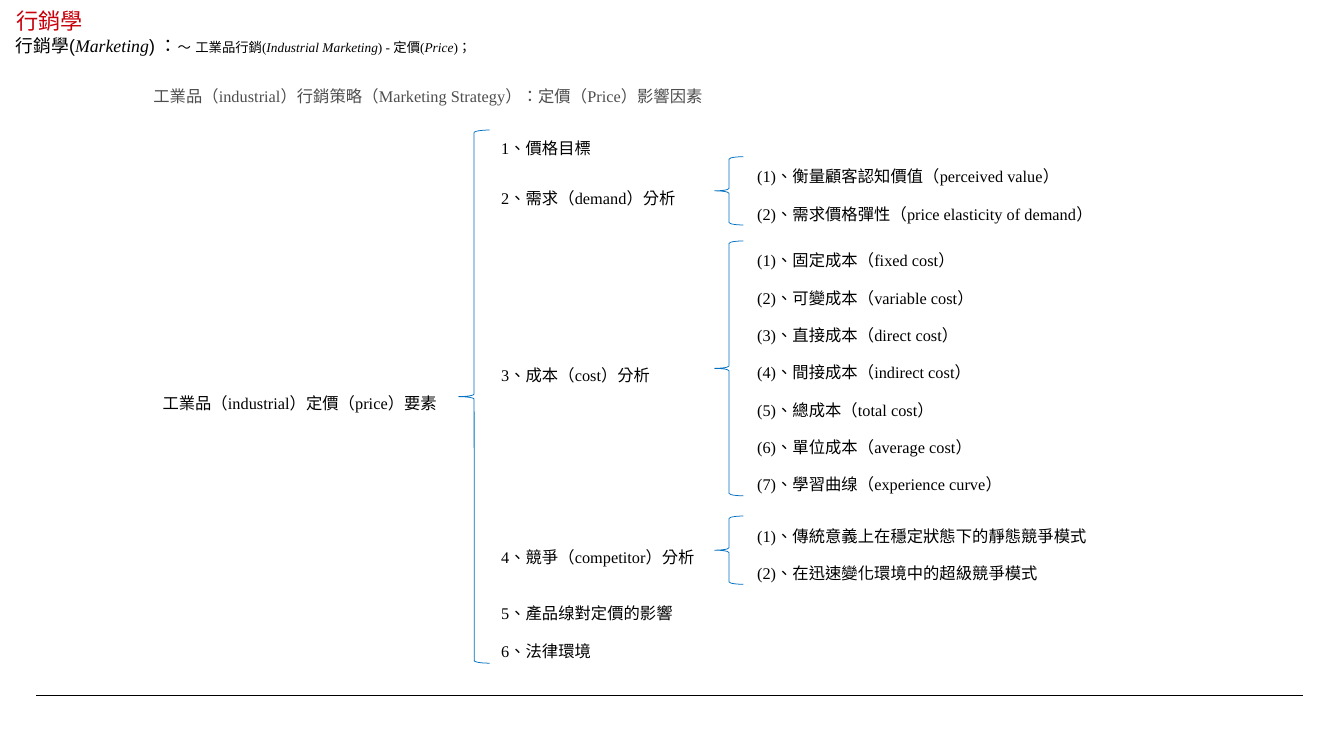
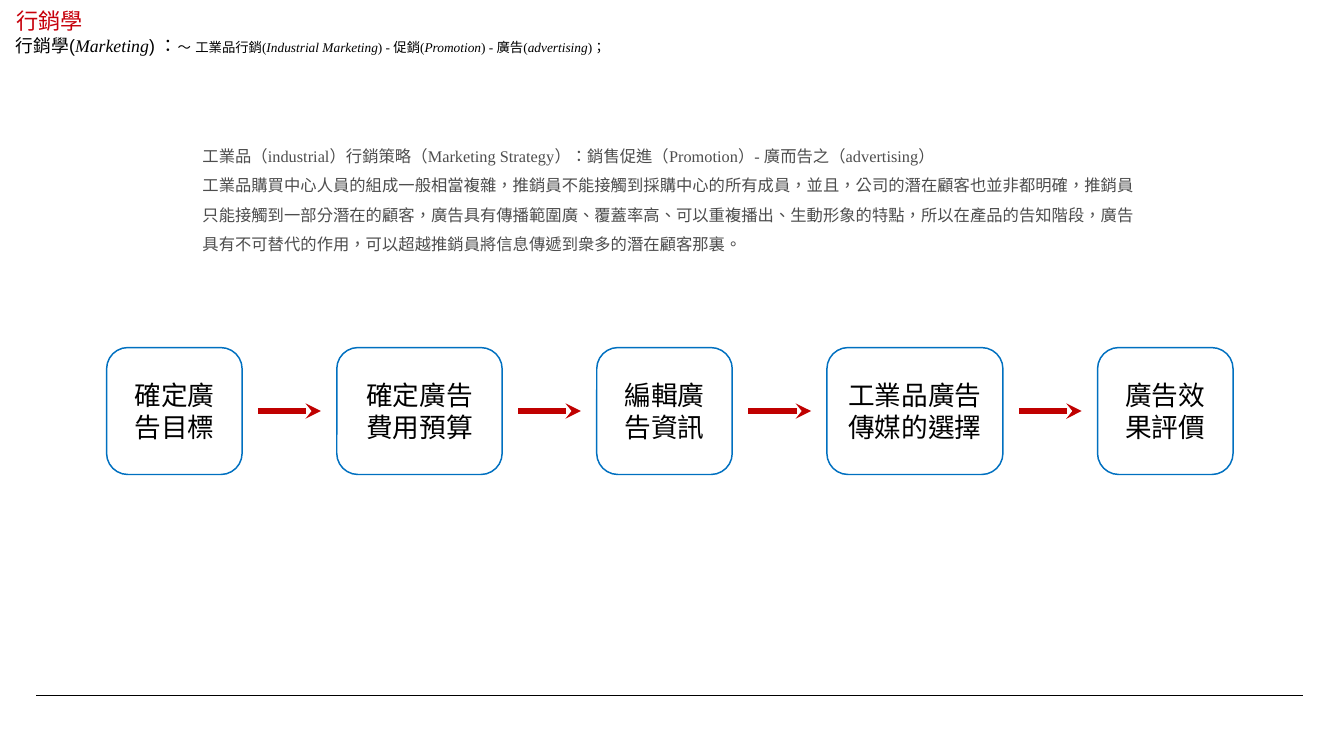
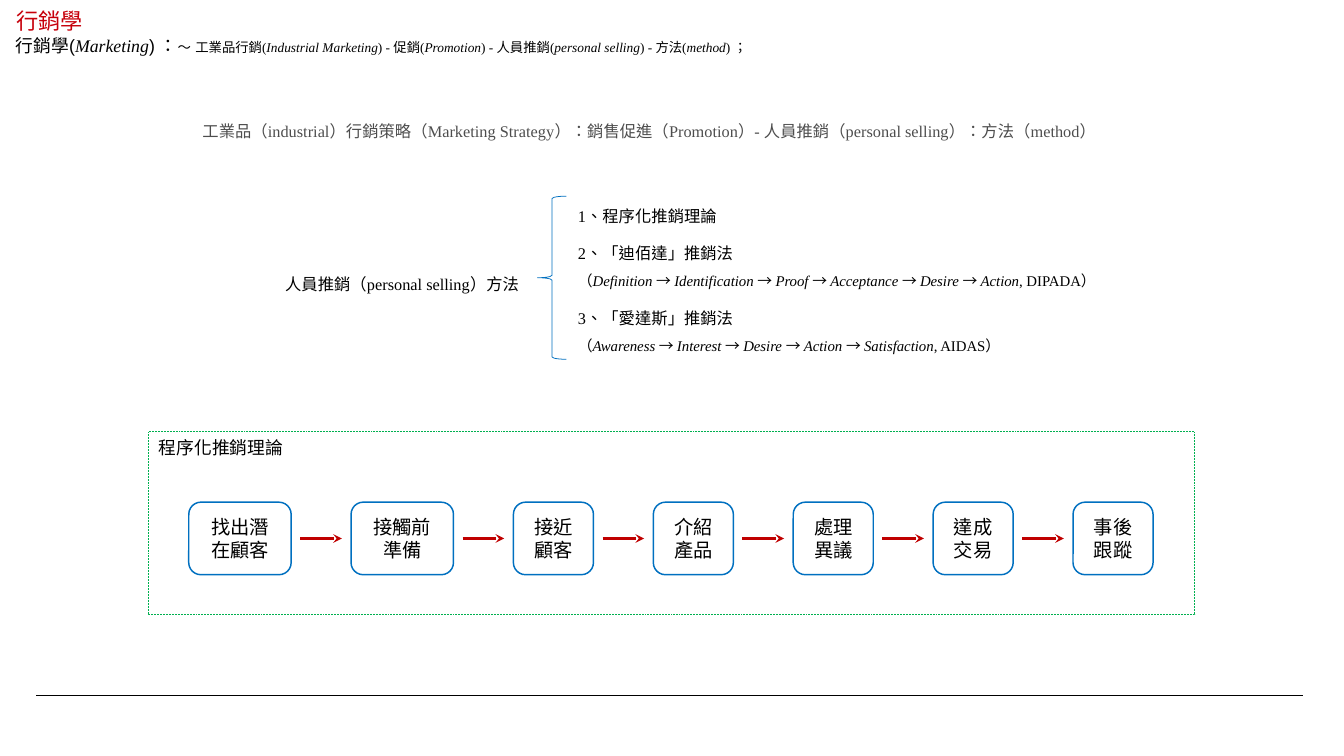
from dataclasses import dataclass
from typing import NamedTuple, Optional

import pptx
import pptx.dml.color
import pptx.enum.dml
import pptx.enum.lang
import pptx.enum.shapes
import pptx.enum.text
import pptx.oxml
import pptx.oxml.ns
import pptx.presentation
import pptx.shapes.autoshape
import pptx.shapes.connector
import pptx.slide
import pptx.text.text
import pptx.util

ALIGN = pptx.enum.text.PP_ALIGN
ANCHOR = pptx.enum.text.MSO_ANCHOR
FIT = pptx.enum.text.MSO_AUTO_SIZE
SHAPE = pptx.enum.shapes.MSO_SHAPE


@dataclass(frozen=True)
class Theme:
    red: str = "C7000B"
    black: str = "000000"
    gray: str = "4D4D4D"
    blue: str = "0070C0"
    arrow: str = "C00000"
    green: str = "00B050"
    sans: str = "Arial"
    serif: str = "Times New Roman"
    cjk: str = "Noto Sans CJK SC"
    title: float = 15
    heading: float = 12
    body: float = 11
    formula: float = 10
    trail: float = 9
    hairline: float = 0.5
    outline: float = 1
    leading: float = 1.5


THEME = Theme()

# The slide is a grid of 126 columns by 70.9 rows, each a tenth of an inch.
COLUMNS, ROWS = 126, 70.9
LABEL_ROWS = 3.4
LIST_STEP = 3.5
BRACE_COLUMNS = 2.7


class Area(NamedTuple):
    column: float
    row: float
    columns: float
    rows: float

    @property
    def middle(self) -> float:
        return self.row + self.rows / 2

    @property
    def right(self) -> float:
        return self.column + self.columns


class Phrase(NamedTuple):
    text: str
    size: float = THEME.body
    font: str = THEME.serif
    color: str = THEME.black
    italic: bool = False


class Term(NamedTuple):
    chinese: str
    english: str


class Factor(NamedTuple):
    label: str
    row: float
    details: tuple[str, ...] = ()


class Step(NamedTuple):
    label: str
    columns: float


@dataclass(frozen=True)
class Process:
    """Steps spread with equal gaps over an area, joined by arrows."""
    area: Area
    steps: tuple[Step, ...]
    size: float
    arrow_columns: float
    arrow_weight: float


class Method(NamedTuple):
    label: str
    row: float
    stages: tuple[str, ...] = ()
    acronym: str = ""


def grid(cells: float) -> pptx.util.Length:
    return pptx.util.Inches(round(cells / 10, 4))


def rgb(color: str) -> pptx.dml.color.RGBColor:
    return pptx.dml.color.RGBColor.from_string(color)


def write(paragraph: pptx.text.text._Paragraph, phrases: list[Phrase]) -> None:
    for phrase in phrases:
        run = paragraph.add_run()
        run.text = phrase.text
        run.font.name = phrase.font
        run.font.size = pptx.util.Pt(phrase.size)
        run.font.italic = phrase.italic
        run.font.color.rgb = rgb(phrase.color)
        run.font.language_id = pptx.enum.lang.MSO_LANGUAGE_ID.TRADITIONAL_CHINESE


def add_text(slide: pptx.slide.Slide, area: Area, paragraphs: list[list[Phrase]],
             leading: Optional[float] = THEME.leading, align: ALIGN = ALIGN.LEFT) -> None:
    frame = slide.shapes.add_textbox(*map(grid, area)).text_frame
    frame.word_wrap = True
    frame.auto_size = FIT.SHAPE_TO_FIT_TEXT
    for index, phrases in enumerate(paragraphs):
        paragraph = frame.add_paragraph() if index else frame.paragraphs[0]
        paragraph.alignment = align
        if leading:
            paragraph.line_spacing = leading
        write(paragraph, phrases)


def add_label(slide: pptx.slide.Slide, column: float, row: float, columns: float,
              text: str, align: ALIGN = ALIGN.LEFT) -> None:
    add_text(slide, Area(column, row, columns, LABEL_ROWS), [[Phrase(text)]], align=align)


def add_outline(slide: pptx.slide.Slide, kind: SHAPE, area: Area, color: str,
                weight: float) -> pptx.shapes.autoshape.Shape:
    outline = slide.shapes.add_shape(kind, *map(grid, area))
    outline.shadow.inherit = False
    outline.fill.background()
    outline.line.color.rgb = rgb(color)
    outline.line.width = pptx.util.Pt(weight)
    return outline


def add_brace(slide: pptx.slide.Slide, area: Area) -> None:
    add_outline(slide, SHAPE.LEFT_BRACE, area, THEME.blue, THEME.hairline)


def add_line(slide: pptx.slide.Slide, start: float, end: float, row: float,
             color: str, weight: float) -> pptx.shapes.connector.Connector:
    line = slide.shapes.add_connector(pptx.enum.shapes.MSO_CONNECTOR.STRAIGHT,
                                      grid(start), grid(row), grid(end), grid(row))
    line.line.color.rgb = rgb(color)
    line.line.width = pptx.util.Pt(weight)
    line.element.spPr.append(pptx.oxml.parse_xml(
        f'<a:effectLst {pptx.oxml.ns.nsdecls("a")}/>'))
    return line


def add_arrow(slide: pptx.slide.Slide, start: float, end: float, row: float,
              weight: float) -> None:
    arrow = add_line(slide, start, end, row, THEME.arrow, weight)
    arrow.line._get_or_add_ln().append(pptx.oxml.parse_xml(
        f'<a:tailEnd {pptx.oxml.ns.nsdecls("a")} type="stealth"/>'))


def add_footer_rule(deck: pptx.presentation.Presentation, slide: pptx.slide.Slide) -> None:
    """Move a rule drawn on the slide to its layout, so that every slide shows it."""
    rule = add_line(slide, 3.4, 122.2, 65.2, THEME.black, THEME.hairline)
    slide.slide_layout.shapes.element.append(rule.element)


def add_slide(deck: pptx.presentation.Presentation, trail: tuple[Term, ...],
              ending: str = ")；") -> pptx.slide.Slide:
    """Add a slide with the course title and the trail of topics below it."""
    slide = deck.slides.add_slide(deck.slide_layouts[5])
    title = slide.shapes.title
    title.left, title.top, title.width, title.height = map(grid, Area(0.5, 0.7, 93.2, 2.4))
    frame = title.text_frame
    frame.auto_size = FIT.NONE
    frame.word_wrap = True
    frame.vertical_anchor = ANCHOR.MIDDLE
    frame.paragraphs[0].alignment = ALIGN.LEFT
    write(frame.paragraphs[0], [Phrase("行銷學", THEME.title, THEME.sans, THEME.red)])

    phrases = [
        Phrase("行銷學(", THEME.heading, THEME.sans),
        Phrase("Marketing", THEME.heading, italic=True),
        Phrase(") ：", THEME.heading, THEME.sans),
        Phrase("～", THEME.trail, THEME.sans),
        Phrase(" ", 13, THEME.sans),
    ]
    joint = ""
    for term in (Term("工業品行銷", "Industrial Marketing"), *trail):
        phrases += [Phrase(f"{joint}{term.chinese}(", THEME.trail),
                    Phrase(term.english, THEME.trail, italic=True)]
        joint = ") - "
    phrases.append(Phrase(ending, THEME.trail))
    add_text(slide, Area(0.5, 2.6, 104.3, 3.2), [phrases], leading=None)
    return slide


def add_intro(slide: pptx.slide.Slide, area: Area, *texts: str) -> None:
    add_text(slide, area, [[Phrase(text, color=THEME.gray)] for text in texts])


def add_root(slide: pptx.slide.Slide, column: float, columns: float, text: str,
             brace: Area) -> None:
    """Draw a brace with its topic centred on its point."""
    add_label(slide, column, brace.middle - LABEL_ROWS / 2, columns, text, ALIGN.CENTER)
    add_brace(slide, brace)


def add_factor(slide: pptx.slide.Slide, factor: Factor) -> None:
    label_row = factor.row
    if factor.details:
        brace = Area(67, factor.row + 0.5, BRACE_COLUMNS,
                     LIST_STEP * len(factor.details) - 0.6)
        add_brace(slide, brace)
        label_row = brace.middle - LABEL_ROWS / 2
    add_label(slide, 46, label_row, 20.8, factor.label)
    for index, detail in enumerate(factor.details):
        add_label(slide, 70, factor.row + index * LIST_STEP, 34.7,
                  f"({index + 1})、{detail}")


def add_method(slide: pptx.slide.Slide, method: Method) -> None:
    paragraphs = [[Phrase(method.label)]]
    if method.stages:
        formula = [Phrase("（", THEME.formula)]
        for stage in method.stages[:-1]:
            formula += [Phrase(f"{stage} ", THEME.formula, italic=True),
                        Phrase("→ ", THEME.formula, THEME.cjk)]
        formula += [Phrase(method.stages[-1], THEME.formula, italic=True),
                    Phrase(f", {method.acronym}）", THEME.formula)]
        paragraphs.append(formula)
    rows = 6.1 if method.stages else LABEL_ROWS
    add_text(slide, Area(53.2, method.row, 51.6, rows), paragraphs)


def add_process(slide: pptx.slide.Slide, process: Process) -> None:
    area = process.area
    gap = ((area.columns - sum(step.columns for step in process.steps))
           / (len(process.steps) - 1))
    column = area.column
    for index, step in enumerate(process.steps):
        if index:
            start = column - (gap + process.arrow_columns) / 2
            add_arrow(slide, start, start + process.arrow_columns, area.middle,
                      process.arrow_weight)
        box = add_outline(slide, SHAPE.ROUNDED_RECTANGLE,
                          Area(column, area.row, step.columns, area.rows),
                          THEME.blue, THEME.outline)
        box.text_frame.vertical_anchor = ANCHOR.MIDDLE
        box.text_frame.paragraphs[0].alignment = ALIGN.CENTER
        write(box.text_frame.paragraphs[0], [Phrase(step.label, process.size, THEME.cjk)])
        column += step.columns + gap


def add_frame(slide: pptx.slide.Slide, area: Area, caption: str) -> None:
    frame = add_outline(slide, SHAPE.RECTANGLE, area, THEME.green, THEME.hairline)
    frame.line.dash_style = pptx.enum.dml.MSO_LINE.ROUND_DOT
    frame.text_frame.vertical_anchor = ANCHOR.TOP
    frame.text_frame.paragraphs[0].alignment = ALIGN.LEFT
    write(frame.text_frame.paragraphs[0], [Phrase(caption, THEME.heading, THEME.cjk)])


PROMOTION = Term("促銷", "Promotion")

PRICE_FACTORS = (
    Factor("1、價格目標", 11.6),
    Factor("2、需求（demand）分析", 14.2, (
        "衡量顧客認知價值（perceived value）",
        "需求價格彈性（price elasticity of demand）")),
    Factor("3、成本（cost）分析", 22.1, (
        "固定成本（fixed cost）",
        "可變成本（variable cost）",
        "直接成本（direct cost）",
        "間接成本（indirect cost）",
        "總成本（total cost）",
        "單位成本（average cost）",
        "學習曲缐（experience curve）")),
    Factor("4、競爭（competitor）分析", 47.9, (
        "傳統意義上在穩定狀態下的靜態競爭模式",
        "在迅速變化環境中的超級競爭模式")),
    Factor("5、產品缐對定價的影響", 55.2),
    Factor("6、法律環境", 58.7),
)

ADVERTISING = Process(
    Area(10, 32.6, 105.6, 11.9),
    (Step("確定廣告目標", 12.7), Step("確定廣告費用預算", 15.5), Step("編輯廣告資訊", 12.7),
     Step("工業品廣告傳媒的選擇", 16.5), Step("廣告效果評價", 12.7)),
    size=18, arrow_columns=5.9, arrow_weight=3.5)

SELLING_METHODS = (
    Method("1、程序化推銷理論", 17.9),
    Method("2、「迪佰達」推銷法", 21.4,
           ("Definition", "Identification", "Proof", "Acceptance", "Desire", "Action"),
           "DIPADA"),
    Method("3、「愛達斯」推銷法", 27.5,
           ("Awareness", "Interest", "Desire", "Action", "Satisfaction"), "AIDAS"),
)

SELLING = Process(
    Area(17.7, 47.1, 90.4, 6.8),
    (Step("找出潛在顧客", 9.6), Step("接觸前準備", 9.6), Step("接近顧客", 7.5),
     Step("介紹產品", 7.5), Step("處理異議", 7.5), Step("達成交易", 7.5),
     Step("事後跟蹤", 7.5)),
    size=13, arrow_columns=3.9, arrow_weight=1.5)


def build_pricing(deck: pptx.presentation.Presentation) -> None:
    slide = add_slide(deck, (Term("定價", "Price"),))
    add_footer_rule(deck, slide)
    add_intro(slide, Area(13.4, 6.7, 91.4, LABEL_ROWS),
              "工業品（industrial）行銷策略（Marketing Strategy）：定價（Price）影響因素")
    add_root(slide, 13.3, 29.6, "工業品（industrial）定價（price）要素",
             Area(43, 12.2, 2.9, 50))
    for factor in PRICE_FACTORS:
        add_factor(slide, factor)


def build_advertising(deck: pptx.presentation.Presentation) -> None:
    slide = add_slide(deck, (PROMOTION, Term("廣告", "advertising")))
    add_intro(
        slide, Area(18, 12.3, 90, 11.8),
        "工業品（industrial）行銷策略（Marketing Strategy）：銷售促進（Promotion）"
        "- 廣而告之（advertising）",
        "工業品購買中心人員的組成一般相當複雜，推銷員不能接觸到採購中心的所有成員，並且，"
        "公司的潛在顧客也並非都明確，推銷員只能接觸到一部分潛在的顧客，廣告具有傳播範圍廣、"
        "覆蓋率高、可以重複播出、生動形象的特點，所以在產品的告知階段，廣告具有不可替代的作用，"
        "可以超越推銷員將信息傳遞到衆多的潛在顧客那裏。")
    add_process(slide, ADVERTISING)


def build_selling(deck: pptx.presentation.Presentation) -> None:
    slide = add_slide(deck, (PROMOTION, Term("人員推銷", "personal selling"),
                             Term("方法", "method")), ending=") ；")
    add_intro(slide, Area(18, 10, 90, LABEL_ROWS),
              "工業品（industrial）行銷策略（Marketing Strategy）：銷售促進（Promotion）"
              "- 人員推銷（personal selling）：方法（method）")
    add_root(slide, 25.1, 25.2, "人員推銷（personal selling）方法",
             Area(50.4, 18.4, BRACE_COLUMNS, 15.3))
    for method in SELLING_METHODS:
        add_method(slide, method)
    add_process(slide, SELLING)
    add_frame(slide, Area(13.9, 40.5, 98.1, 17.1), "程序化推銷理論")


def main() -> None:
    deck = pptx.Presentation()
    deck.slide_width, deck.slide_height = grid(COLUMNS), grid(ROWS)
    build_pricing(deck)
    build_advertising(deck)
    build_selling(deck)
    deck.save("out.pptx")


if __name__ == "__main__":
    main()
